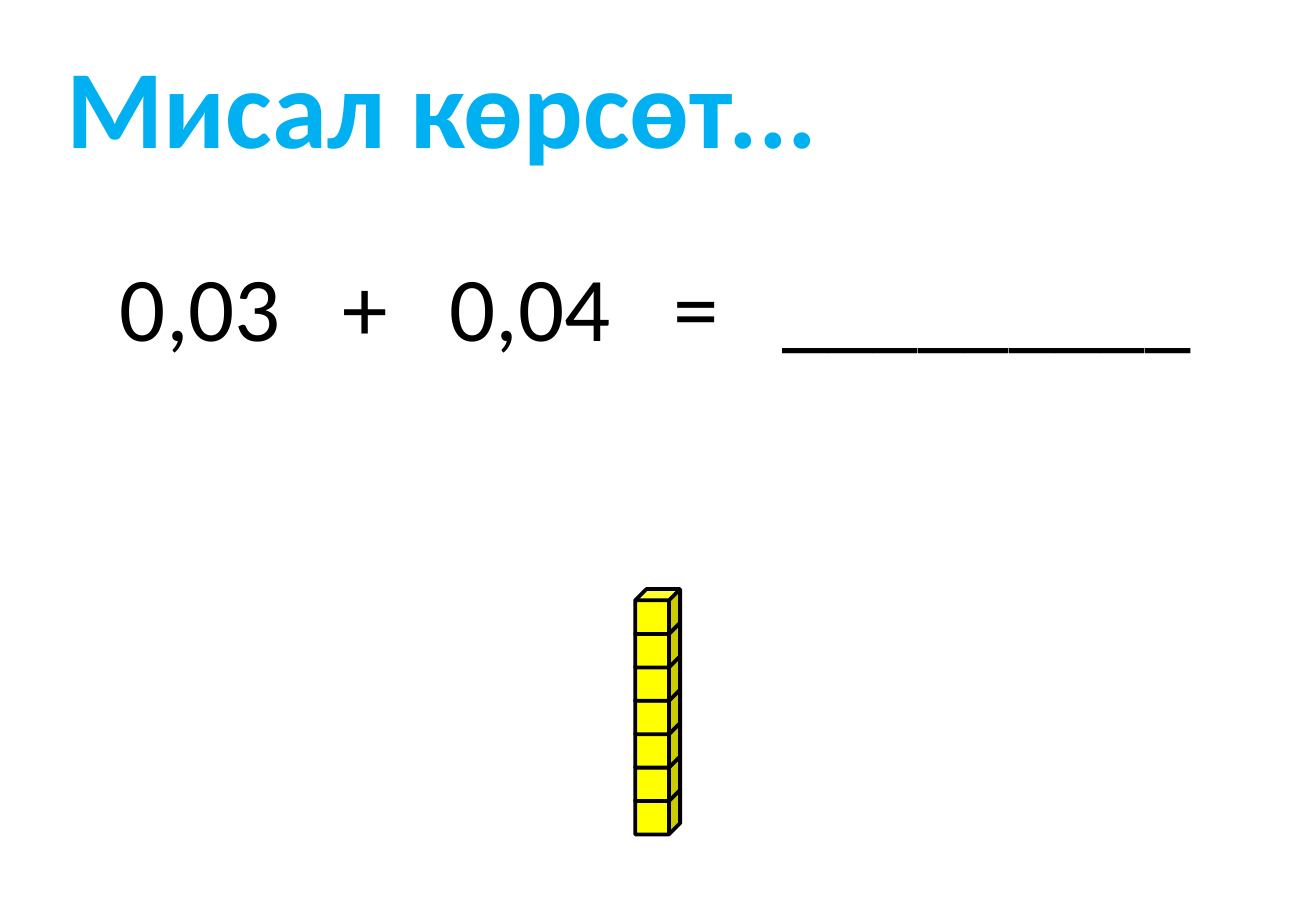
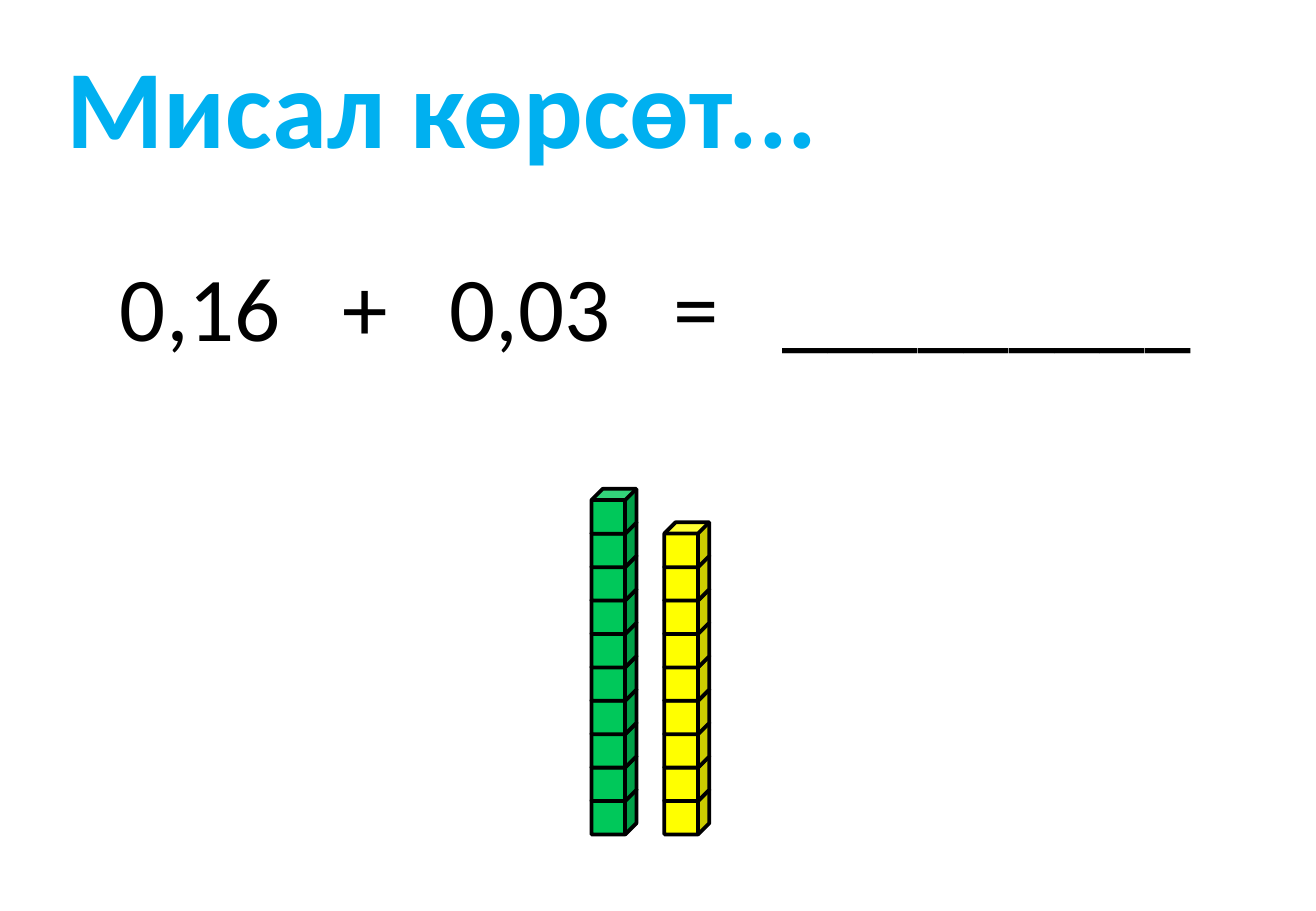
import pptx
import pptx.dml.color
import pptx.enum.shapes
import pptx.enum.text
import pptx.oxml
import pptx.oxml.ns
import pptx.util

Pt = pptx.util.Pt
RGBColor = pptx.dml.color.RGBColor

BLACK = RGBColor(0x00, 0x00, 0x00)
SKY = RGBColor(0x00, 0xB0, 0xF0)
YELLOW = RGBColor(0xFF, 0xFF, 0x00)
GREEN = RGBColor(0x00, 0xC8, 0x5A)

FONT = "Calibri"
SLIDE_WIDTH, SLIDE_HEIGHT = 780, 540

# Boxes: left, top, width, height
TITLE_BOX = (17.3, 18.7, 543, 87)
EQUATION_BOX = (64, 144.7, 655, 72.7)
TITLE_INDENT = 15
EQUATION_STOPS = (132, 195.5, 328, 392.5)

# Cube columns stand on one base line
CUBE = 26.64
CUBE_RISE = 19.8
BASE = 494.64


def add_line(page, box, text, size, color, bold=False, indent=0, stops=()):
    """Place one left-aligned line of text in the given box."""
    shape = page.shapes.add_textbox(*(Pt(length) for length in box))
    frame = shape.text_frame
    frame.word_wrap = True
    frame.auto_size = pptx.enum.text.MSO_AUTO_SIZE.SHAPE_TO_FIT_TEXT
    para = frame.paragraphs[0]
    properties = para._p.get_or_add_pPr()
    properties.set("marL", str(Pt(indent)))
    if stops:
        tabs = pptx.oxml.parse_xml(
            "<a:tabLst %s/>" % pptx.oxml.ns.nsdecls("a"))
        for stop in stops:
            tab = tabs.makeelement(pptx.oxml.ns.qn("a:tab"),
                                   {"pos": str(Pt(stop)), "algn": "l"})
            tabs.append(tab)
        properties.append(tabs)
    span = para.add_run()
    span.text = text
    span.font.name = FONT
    span.font.size = Pt(size)
    span.font.bold = bold
    span.font.color.rgb = color


def add_column(page, left, count, color):
    """Stack cubes upwards from the base line."""
    column = page.shapes.add_group_shape()
    for level in range(count):
        cube = column.shapes.add_shape(
            pptx.enum.shapes.MSO_SHAPE.CUBE, Pt(left),
            Pt(BASE - CUBE - level * CUBE_RISE), Pt(CUBE), Pt(CUBE))
        cube.shadow.inherit = False
        cube.fill.solid()
        cube.fill.fore_color.rgb = color
        cube.line.color.rgb = BLACK
        cube.line.width = Pt(2.25)


def add_sum_page(deck, first, second, columns):
    page = deck.slides.add_slide(deck.slide_layouts[6])
    # Equation with an answer blank
    equation = "\t".join((first, "+", second, "=", "_" * 9))
    add_line(page, EQUATION_BOX, equation, 54, BLACK, stops=EQUATION_STOPS)
    # Cube columns
    for left, count, color in columns:
        add_column(page, left, count, color)
    # Title
    add_line(page, TITLE_BOX, "Мисал көрсөт...", 66, SKY, bold=True,
             indent=TITLE_INDENT)


def main():
    deck = pptx.Presentation()
    deck.slide_width = Pt(SLIDE_WIDTH)
    deck.slide_height = Pt(SLIDE_HEIGHT)
    add_sum_page(deck, "0,03", "0,04", [(376.5, 7, YELLOW)])
    add_sum_page(deck, "0,16", "0,03",
                 [(393.8, 9, YELLOW), (350.6, 10, GREEN)])
    deck.save("out.pptx")


if __name__ == "__main__":
    main()
